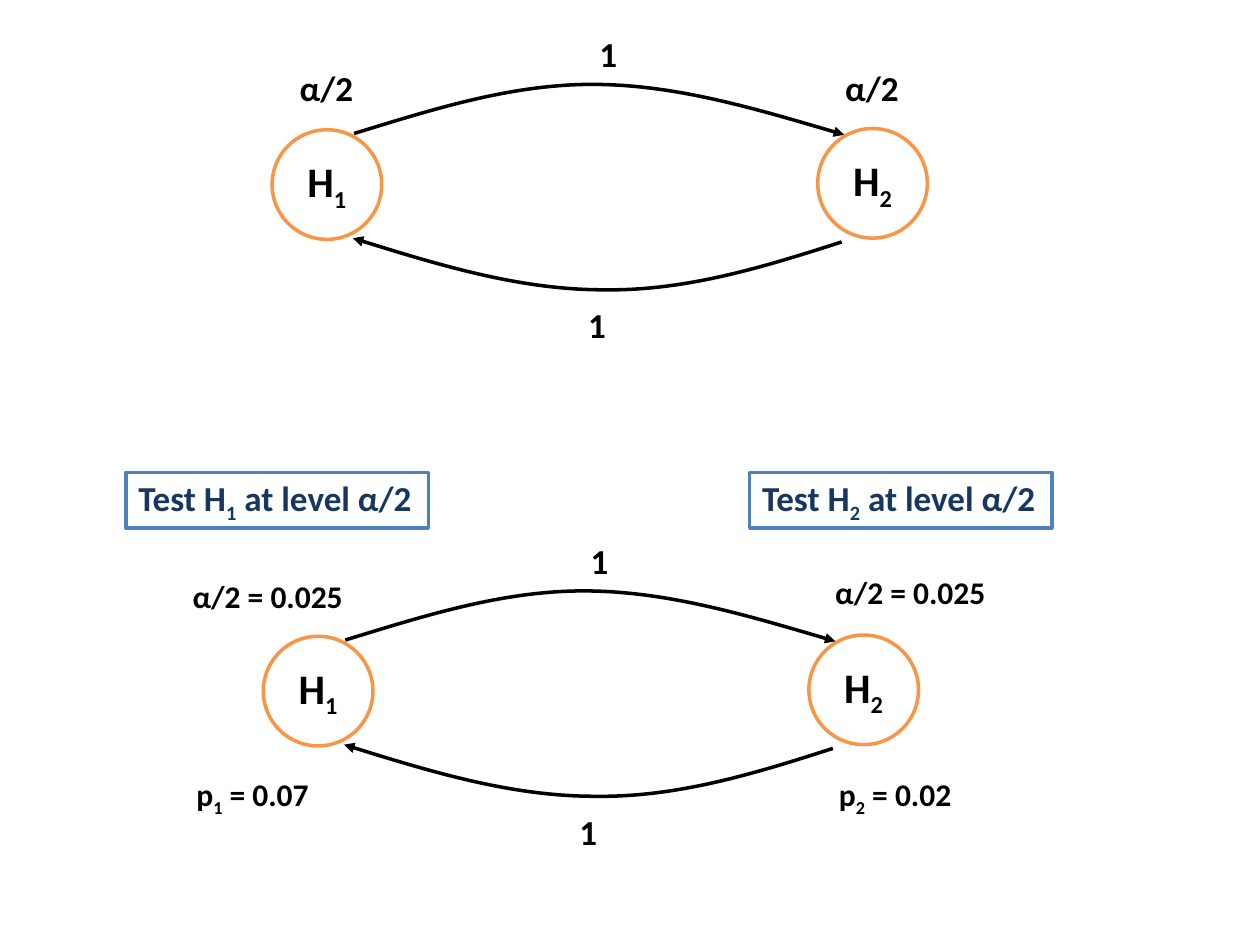
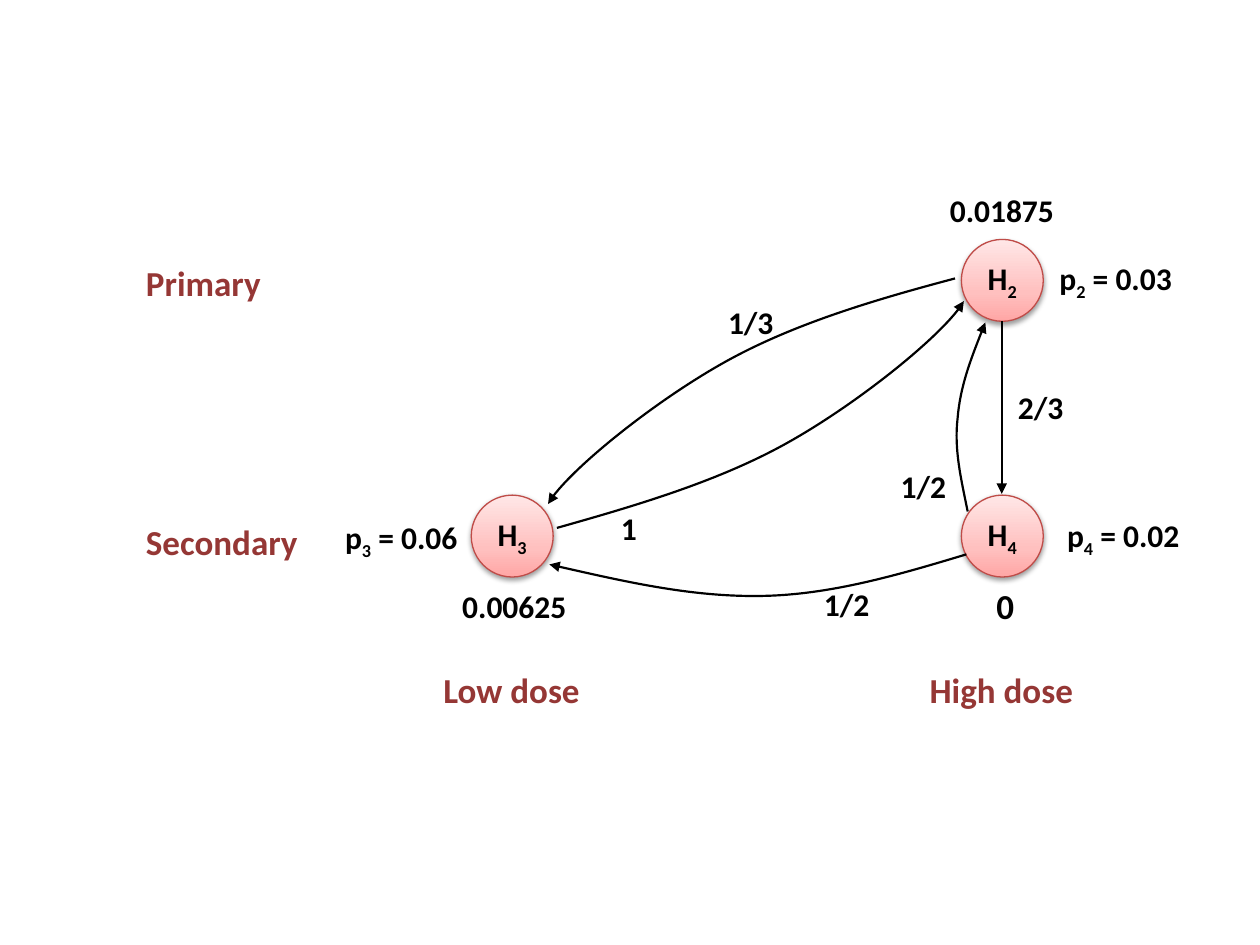
from itertools import product

from pptx import Presentation
from pptx import util as u
from pptx.dml.color import RGBColor
from pptx.enum import shapes, text
from pptx.oxml import parse_xml
from pptx.oxml.ns import nsdecls, qn

HUES = {
    "ink": "000000", "paper": "FFFFFF", "ring": "F79646",
    "frame": "4F81BD", "navy": "17375E", "wine": "953735",
    "rim": "BF4C48", "deep": "FFA6A5", "mid": "FFC0BF", "pale": "FFE7E7",
}
FONT = "Calibri"
KIND = shapes.MSO_SHAPE

deck = Presentation()
deck.slide_width, deck.slide_height = u.Inches(10), u.Inches(7.5)
CELL = deck.slide_width / 100
ROWS = {18: 4, 20: 4.4}


def hue(name):
    return RGBColor.from_string(HUES[name])


def place(box, x, y):
    return round((box[0] + x) * CELL), round((box[1] + y) * CELL)


def span(*cells):
    return [round(n * CELL) for n in cells]


def paint(shape, fill=None, line=None, width=2):
    if fill:
        shape.fill.solid()
        shape.fill.fore_color.rgb = hue(fill)
    else:
        shape.fill.background()
    if line:
        shape.line.color.rgb = hue(line)
        shape.line.width = u.Pt(width)
    else:
        shape.line.fill.background()
    shape.shadow.inherit = False


def write(shape, words, size, color="ink"):
    frame = shape.text_frame
    frame.word_wrap = False
    para = frame.paragraphs[0]
    para.alignment = text.PP_ALIGN.LEFT
    for i, part in enumerate(words.split("_")):
        if not part:
            continue
        run = para.add_run()
        run.text = part
        font = run.font
        font.name, font.size, font.bold = FONT, u.Pt(size), True
        font.color.rgb = hue(color)
        if i % 2:
            font._element.set("baseline", "-25000")
    return para


def label(slide, box, x, y, wide, words, size=18):
    note = slide.shapes.add_textbox(*place(box, x, y), *span(wide, ROWS[size]))
    write(note, words, size)
    note.text_frame.auto_size = text.MSO_AUTO_SIZE.SHAPE_TO_FIT_TEXT


def panel(slide, box, x, y, wide, words, color, line=None):
    rect = slide.shapes.add_shape(
        KIND.RECTANGLE, *place(box, x, y), *span(wide, ROWS[20]))
    paint(rect, "paper", line)
    write(rect, words, 20, color)
    rect.text_frame.auto_size = text.MSO_AUTO_SIZE.SHAPE_TO_FIT_TEXT


def node(slide, box, x, y, wide, words, size, line, width):
    disc = slide.shapes.add_shape(
        KIND.OVAL, *place(box, x, y), *span(wide, wide))
    paint(disc, "paper", line, width)
    write(disc, words, size).alignment = text.PP_ALIGN.CENTER
    disc.text_frame.vertical_anchor = text.MSO_ANCHOR.MIDDLE
    return disc


def glow(disc):
    disc.fill.gradient()
    disc.fill.gradient_angle = 90
    stops = disc.element.xpath("p:spPr/a:gradFill/a:gsLst")[0]
    for old in list(stops):
        stops.remove(old)
    for pos, name in ((0, "deep"), (35, "mid"), (100, "pale")):
        stops.append(parse_xml(
            f'<a:gs {nsdecls("a")} pos="{pos * 1000}">'
            f'<a:srgbClr val="{HUES[name]}"/></a:gs>'))
    disc.element.xpath("p:spPr/a:effectLst")[0].append(parse_xml(
        f'<a:outerShdw {nsdecls("a")} blurRad="{u.Pt(3.1)}" dist="{u.Pt(1.6)}" '
        f'dir="5400000" rotWithShape="0"><a:srgbClr val="{HUES["ink"]}">'
        '<a:alpha val="38000"/></a:srgbClr></a:outerShdw>'))


def tip(shape):
    line = shape.element.xpath("p:spPr/a:ln")[0]
    line.append(parse_xml(f'<a:tailEnd {nsdecls("a")} type="triangle"/>'))


def curve(slide, box, dots, width):
    first, *rest = [place(box, x, y) for x, y in dots]
    pen = slide.shapes.build_freeform(*first, scale=1.0)
    pen.add_line_segments(rest, close=False)
    arc = pen.convert_to_shape()
    steps = arc.element.xpath(".//a:lnTo")
    for i in range(0, len(steps), 3):
        bend = parse_xml(f'<a:cubicBezTo {nsdecls("a")}/>')
        steps[i].addprevious(bend)
        for step in steps[i:i + 3]:
            bend.append(step.find(qn("a:pt")))
            step.getparent().remove(step)
    paint(arc, None, "ink", width)
    tip(arc)


def arrow(slide, box, start, end, width):
    line = slide.shapes.add_connector(
        shapes.MSO_CONNECTOR.STRAIGHT, *place(box, *start), *place(box, *end))
    line.line.color.rgb = hue("ink")
    line.line.width = u.Pt(width)
    tip(line)
    line.element.spPr.append(parse_xml(f'<a:effectLst {nsdecls("a")}/>'))


def pair(slide, box, notes):
    for x, y, words in ((43.3, 8.1, "H_2"), (0, 8.2, "H_1")):
        node(slide, box, x, y, 8.7, words, 24, "ring", 2)
    curve(slide, box, [(6.5, 8.5), (12.7, 6.6), (18.9, 4.6), (25.4, 4.6),
                       (31.9, 4.6), (38.6, 6.6), (45.4, 8.6)], 2)
    curve(slide, box, [(45.2, 17.1), (39, 19.1), (32.8, 21), (26.3, 20.9),
                       (19.8, 20.9), (13.1, 18.9), (6.4, 16.8)], 2)
    for x, y in ((25, 0), (24.1, 21.5)):
        label(slide, box, x, y, 3.4, "1", 20)
    for note in notes:
        label(slide, box, *note)


def tests(slide, box):
    for i in range(2):
        panel(slide, box, i * 49.5, 0, 24,
              f"Test H_{i + 1}_ at level α/2", "navy", "frame")


def doses(slide, box):
    for x, y, wide, words in (
            (0, 5.5, 11.2, "Primary"), (0, 26.1, 14.2, "Secondary"),
            (23.6, 37.8, 13, "Low dose"), (62.2, 37.8, 13.5, "High dose")):
        panel(slide, box, x, y, wide, words, "wine")
    spots = list(product((26.8, 65.7), (4.3, 24.6)))[1:]
    for (x, y), words in zip(spots, ("H_3", "H_2", "H_4")):
        glow(node(slide, box, x, y, 6.5, words, 18, "rim", 0.75))
    arrow(slide, box, (68.9, 10.8), (68.9, 24.5), 1.25)
    for dots in (
            [(33.6, 27.2), (40, 25.4), (46.4, 23.5), (51.8, 20.5),
             (57.2, 17.5), (64.6, 11.6), (65.9, 9.2)],
            [(66.2, 25.9), (65.7, 23.4), (65.1, 21), (65.4, 18.5),
             (65.6, 16), (66.6, 13.4), (67.6, 10.9)],
            [(66.1, 29.3), (60.8, 30.9), (55.4, 32.5), (49.9, 32.6),
             (44.4, 32.7), (38.7, 31.4), (33, 30.1)],
            [(65.2, 7.4), (58.8, 9.1), (52.4, 11), (47, 14),
             (41.6, 17), (34.2, 22.9), (32.9, 25.3)]):
        curve(slide, box, dots, 1.25)
    for note in (
            (63.8, 0, 10.4, "0.01875"), (25.1, 31.4, 10.4, "0.00625"),
            (67.5, 31.2, 3.4, "0", 20), (69.2, 15.6, 5.7, "2/3"),
            (37.7, 25.2, 3.3, "1"), (46.2, 8.9, 5.7, "1/3"),
            (59.9, 21.9, 5.7, "1/2"), (53.8, 31.2, 5.7, "1/2"),
            (15.8, 25.9, 11.2, "p_3_ = 0.06"),
            (72.5, 5.4, 11.2, "p_2_ = 0.03"),
            (73.1, 25.8, 11.2, "p_4_ = 0.02")):
        label(slide, box, *note)


blank = deck.slide_layouts[6]

slide = deck.slides.add_slide(blank)
pair(slide, (21.6, 2.1), [(1.2, 2.7, 6.3, "α/2", 20),
                          (44.5, 2.7, 6.3, "α/2", 20)])
pair(slide, (20.9, 42.3), [(-6.6, 3, 14.1, "α/2 = 0.025"),
                           (44.4, 2.7, 14.1, "α/2 = 0.025"),
                           (-6.3, 18.7, 11.2, "p_1_ = 0.07"),
                           (44.7, 18.7, 11.2, "p_2_ = 0.02")])
tests(slide, (10, 37.5))

slide = deck.slides.add_slide(blank)
doses(slide, (10.6, 14.7))

deck.save("out.pptx")
